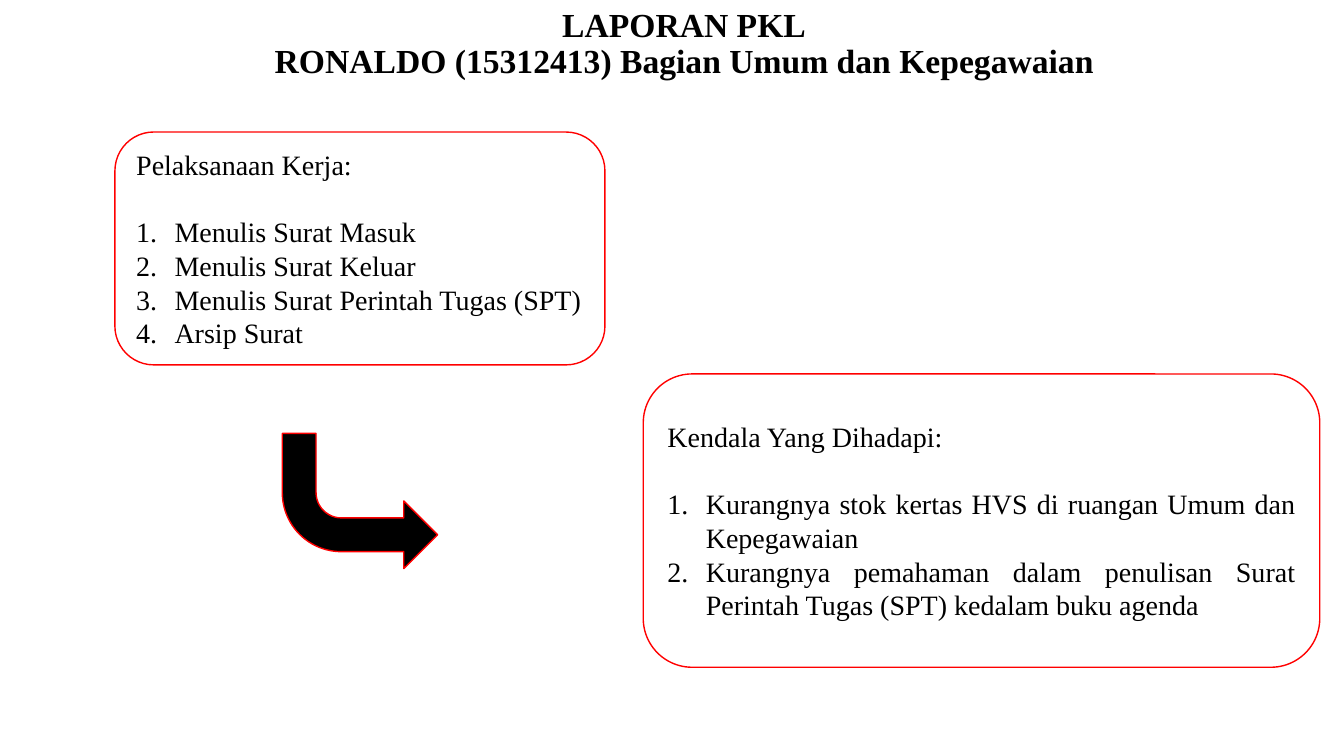
from lxml import etree
from pptx import Presentation
from pptx.dml.color import RGBColor
from pptx.enum import shapes, text
from pptx.oxml import ns
from pptx.util import Inches, Pt

COLORS = {"white": "FFFFFF", "black": "000000", "red": "FF0000"}
FONT = "Times New Roman"


def color(name):
    """Return the named colour."""
    return RGBColor.from_string(COLORS[name])


def add_run(p, content, size, bold=False):
    """Add one black run to a paragraph."""
    r = p.add_run()
    r.text = content
    r.font.name = FONT
    r.font.size = Pt(size)
    r.font.bold = bold
    r.font.color.rgb = color("black")


def number(p):
    """Give a paragraph an automatic number and a hanging indent."""
    pPr = p._p.get_or_add_pPr()
    pPr.set("marL", str(Inches(0.38)))
    pPr.set("indent", str(-Inches(0.38)))
    etree.SubElement(pPr, ns.qn("a:buFont"), typeface="+mj-lt")
    etree.SubElement(pPr, ns.qn("a:buAutoNum"), type="arabicPeriod")


def add_outlined(s, kind, box, fill):
    """Add a filled shape with a thin red outline."""
    sp = s.shapes.add_shape(kind, *map(Inches, box))
    sp.shadow.inherit = False
    sp.fill.solid()
    sp.fill.fore_color.rgb = color(fill)
    sp.line.color.rgb = color("red")
    sp.line.width = Pt(1)
    return sp


def add_title(s, box, lines):
    """Add the centred bold heading of the slide."""
    tf = s.shapes.add_textbox(*map(Inches, box)).text_frame
    tf.word_wrap = True
    tf.vertical_anchor = text.MSO_ANCHOR.BOTTOM
    for i, line in enumerate(lines):
        p = tf.add_paragraph() if i else tf.paragraphs[0]
        p.alignment = text.PP_ALIGN.CENTER
        p.line_spacing = 0.9
        add_run(p, line, 24, bold=True)


def add_card(s, box, heading, items):
    """Add a rounded card with a heading and a numbered list."""
    sp = add_outlined(s, shapes.MSO_SHAPE.ROUNDED_RECTANGLE, box, "white")
    tf = sp.text_frame
    tf.word_wrap = True
    tf.vertical_anchor = text.MSO_ANCHOR.MIDDLE
    p = tf.paragraphs[0]
    p.alignment = text.PP_ALIGN.JUSTIFY
    p.space_after = Pt(24)
    add_run(p, heading, 20)
    for item in items:
        p = tf.add_paragraph()
        number(p)
        p.alignment = text.PP_ALIGN.JUSTIFY
        add_run(p, item, 20)


def add_arrow(s, box):
    """Add the bent arrow that runs down and then right."""
    sp = add_outlined(s, shapes.MSO_SHAPE.BENT_ARROW, box, "black")
    sp.rotation = 180
    sp._element.spPr.get_or_add_xfrm().set("flipH", "1")


def main():
    """Build and save the slide."""
    prs = Presentation()
    prs.slide_width, prs.slide_height = Inches(13.33), Inches(7.5)
    s = prs.slides.add_slide(prs.slide_layouts[6])
    add_title(s, (1.45, 0.09, 10.67, 0.76), [
        "LAPORAN PKL",
        "RONALDO (15312413) Bagian Umum dan Kepegawaian",
    ])
    add_card(s, (1.14, 1.31, 4.86, 2.31), "Pelaksanaan Kerja:", [
        "Menulis Surat Masuk",
        "Menulis Surat Keluar",
        "Menulis Surat Perintah Tugas (SPT)",
        "Arsip Surat",
    ])
    add_card(s, (6.38, 3.71, 6.71, 2.91), "Kendala Yang Dihadapi:", [
        "Kurangnya stok kertas HVS di ruangan Umum dan Kepegawaian",
        "Kurangnya pemahaman dalam penulisan Surat Perintah Tugas (SPT) "
        "kedalam buku agenda",
    ])
    add_arrow(s, (2.8, 4.3, 1.54, 1.34))
    prs.save("out.pptx")


if __name__ == "__main__":
    main()
